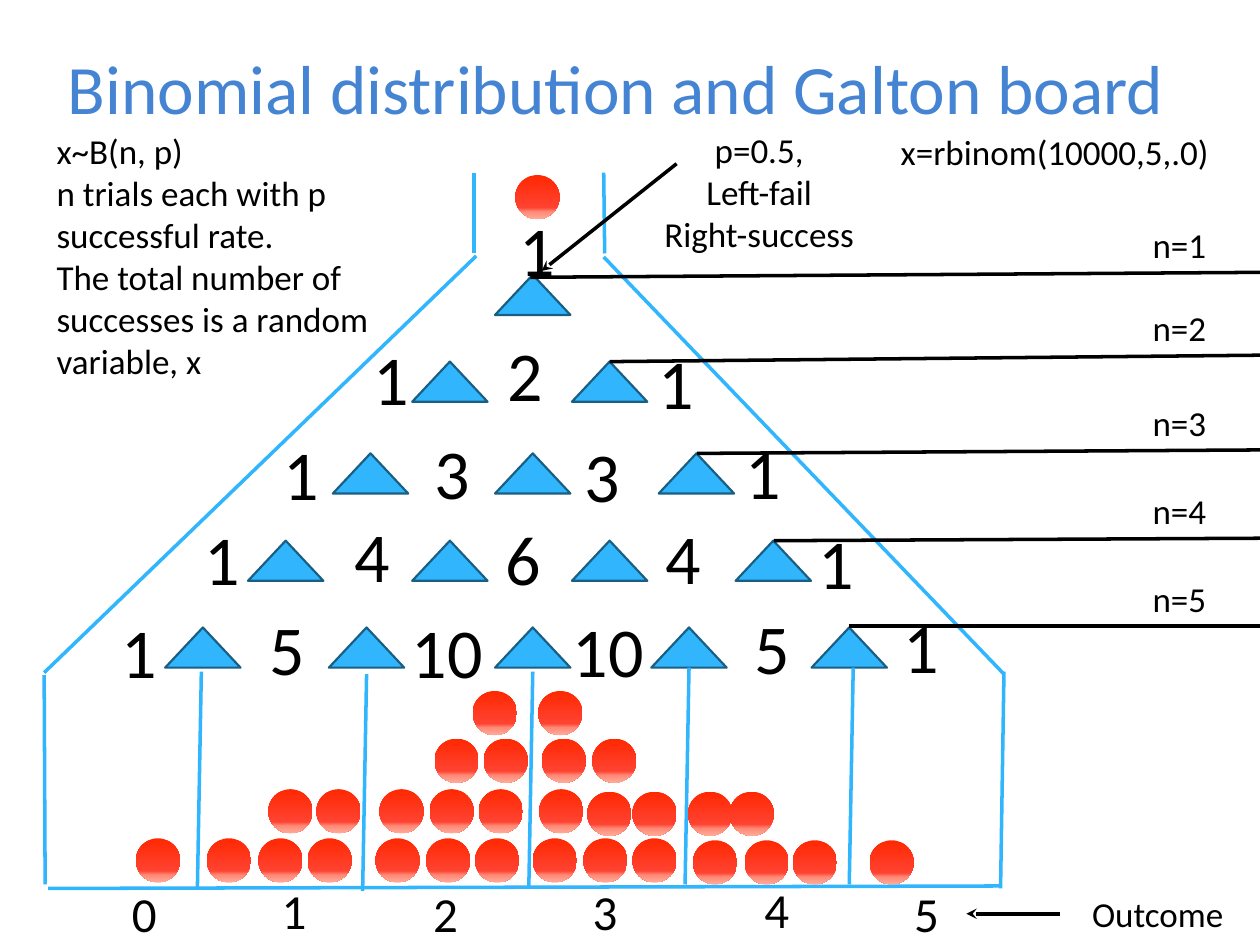
from copy import deepcopy
from math import comb

from pptx import Presentation, util as u
from pptx.dml.color import RGBColor
from pptx.enum import shapes, text
from pptx.oxml.ns import qn
from pptx.oxml.xmlchemy import OxmlElement

BLACK = RGBColor(0, 0, 0)
TITLE = RGBColor(0x45, 0x84, 0xD3)
SKY = RGBColor(0x31, 0xB6, 0xFD)
NAVY = RGBColor(0x19, 0x5F, 0x84)
GLOW = [
    (0, RGBColor(0xFF, 0x28, 0x02)),
    (0.74, RGBColor(0xFF, 0x43, 0x31)),
    (0.83, RGBColor(0xFF, 0x89, 0x76)),
    (1, RGBColor(0xFF, 0xAA, 0x99)),
]

LEFT, MID = text.PP_ALIGN.LEFT, text.PP_ALIGN.CENTER
PEG_W, PEG_H, BALL = 1.52, 0.81, 0.89
EDGE = 25.4

# Top of each row of pegs, then the left of each peg
PEGS = [
    (5.54, [9.98]),
    (7.29, [8.31, 11.53]),
    (9.14, [6.71, 9.98, 13.28]),
    (10.9, [5, 8.31, 11.53, 14.83]),
    (12.65, [3.33, 6.63, 9.98, 13.13, 16.36]),
]
# Trials, then centre and top of each count of ways
WAYS = {
    0: [(10.83, 4.04)],
    2: [(7.89, 6.63), (10.58, 6.55), (13.63, 6.71)],
    3: [(6.08, 8.56), (9.11, 8.53), (12.15, 8.59), (15.38, 8.53)],
    4: [(4.48, 10.26), (7.51, 10.21), (10.55, 10.26), (13.78, 10.24),
        (16.85, 10.34)],
    5: [(2.81, 12.14), (5.8, 12.09), (9.02, 12.14), (12.26, 12.12),
        (15.56, 12.07), (18.58, 12.04)],
}
# Top of each layer of balls, then the left of each ball
BALLS = [
    (3.53, [10.39]),
    (16.9, [2.74, 4.17, 5.21, 6.2, 7.57, 8.59, 9.58, 10.74, 11.76, 12.75]),
    (16.94, [13.97, 15.01, 15.98, 17.53]),
    (15.91, [5.41, 6.38, 7.65, 8.66, 9.65, 10.87]),
    (15.96, [11.84, 12.75, 13.87, 14.71]),
    (14.89, [8.76, 9.75, 10.92, 11.94]),
    (13.93, [9.53, 10.85]),
]
FRAME = [
    (9.55, 3.48, 9.55, 5.11), (12.17, 3.48, 12.19, 5.11),
    (9.6, 5.16, 0.89, 13.56), (12.17, 5.18, 20.24, 13.59),
    (0.89, 13.61, 0.91, 17.83), (20.24, 13.54, 20.17, 17.91),
    (20.17, 17.86, 0.97, 17.91),
]
WALLS = [(4.06, 13.54), (7.39, 13.59), (10.74, 13.54), (13.89, 13.46),
         (17.2, 13.46)]
# Height at the slide edge, then the end at the peg
LEVELS = [(5.49, 10.69, 5.59), (7.16, 12.29, 7.29), (9.07, 14.05, 9.14),
          (10.85, 15.6, 10.9), (12.62, 17.12, 12.62)]
SCORES = [(2.11, 17.68), (5.13, 17.63), (8.18, 17.68), (11.4, 17.65),
          (14.86, 17.6), (17.88, 17.68)]


def place(*nums):
    return [u.Cm(n) for n in nums]


def apply(obj, vals):
    """Set each attribute named in vals on obj."""
    for key, val in vals.items():
        setattr(obj, key, val)


class Deck:
    def __init__(self):
        self.prs = Presentation()
        apply(self.prs, {"slide_width": u.Cm(25.4),
                         "slide_height": u.Cm(19.05)})
        self.slide = self.prs.slides.add_slide(self.prs.slide_layouts[5])
        self.items = self.slide.shapes
        self.font = {"name": "Calibri", "size": u.Pt(20)}

    def put(self, frame, lines, color=BLACK, align=LEFT, size=20):
        """Fill a text frame with one paragraph a line."""
        frame.text = "\n".join(lines)
        for para in frame.paragraphs:
            para.alignment = align
            apply(para.font, self.font | {"size": u.Pt(size)})
            para.font.color.rgb = color

    def title(self, words, *box):
        head = self.items.title
        apply(head, dict(zip(("left", "top", "width", "height"),
                             place(*box))))
        head.text_frame.vertical_anchor = text.MSO_ANCHOR.MIDDLE
        self.put(head.text_frame, [words], TITLE, MID, 39.6)

    def label(self, lines, *box, **style):
        frame = self.items.add_textbox(*place(*box)).text_frame
        apply(frame, {"word_wrap": True,
                      "auto_size": text.MSO_AUTO_SIZE.SHAPE_TO_FIT_TEXT})
        self.put(frame, lines, **style)

    def line(self, *ends, color=BLACK, arrow=False):
        link = self.items.add_connector(shapes.MSO_CONNECTOR.STRAIGHT,
                                        *place(*ends))
        link.line.color.rgb = color
        link.line.width = u.Pt(2)
        props = link.element.spPr
        if arrow:
            tip = OxmlElement("a:tailEnd")
            tip.set("type", "stealth")
            props.find(qn("a:ln")).append(tip)
        props.append(OxmlElement("a:effectLst"))

    def peg(self, left, top):
        peg = self.items.add_shape(shapes.MSO_SHAPE.ISOSCELES_TRIANGLE,
                                   *place(left, top, PEG_W, PEG_H))
        peg.shadow.inherit = False
        peg.fill.solid()
        peg.fill.fore_color.rgb = SKY
        peg.line.color.rgb = NAVY
        peg.line.width = u.Pt(1.25)

    def ball(self, left, top):
        ball = self.items.add_shape(shapes.MSO_SHAPE.OVAL,
                                    *place(left, top, BALL, BALL))
        ball.shadow.inherit = False
        ball.line.fill.background()
        ball.fill.gradient()
        ball.fill.gradient_angle = 270
        stops = ball.element.spPr.find(".//" + qn("a:gsLst"))
        while len(stops) < len(GLOW):
            stops.append(deepcopy(stops[0]))
        for stop, (spot, color) in zip(ball.fill.gradient_stops, GLOW):
            stop.position = spot
            stop.color.rgb = color


def main():
    deck = Deck()
    deck.title("Binomial distribution and Galton board", 0.63, 0, 23.57, 3.48)
    deck.label(["x~B(n, p)", "n trials each with p successful rate.",
                "The total number of successes is a random variable, x"],
               0.89, 2.49, 7.34, 5.38)

    for ends in FRAME:
        deck.line(*ends, color=SKY)
    for top, row in PEGS:
        for left in row:
            deck.peg(left, top)
    for x, top in WALLS:
        deck.line(x, top, x - 0.08, top + 4.37, color=SKY)
    for top, row in BALLS:
        for left in row:
            deck.ball(left, top)

    for n, spots in WAYS.items():
        for k, (x, top) in enumerate(spots):
            ways = comb(n, k)
            wide = 2 if ways > 9 else 1.6
            deck.label([str(ways)], x - wide / 2, top, wide, 1.96,
                       align=MID, size=40)

    deck.line(13.64, 3.3, 10.92, 5.46, arrow=True)
    deck.label(["p=0.5,", "Left-fail", "Right-success"],
               12.83, 2.46, 4.95, 2.82, align=MID)
    for n, (y, x, end) in enumerate(LEVELS, 1):
        deck.line(EDGE, y, x, end)
        deck.label([f"n={n}"], 22.53, y - 1.11, 2.49, 1.12, align=MID)

    for score, (left, top) in enumerate(SCORES):
        deck.label([str(score)], left, top, 1.6, 1.45, align=MID, size=28)
    deck.line(21.36, 18.42, 19.48, 18.42, arrow=True)
    deck.label(["Outcome"], 21.36, 17.86, 3.96, 1.12, align=MID)
    deck.label(["x=rbinom(10000,5,.0)"], 17.2, 2.51, 8.13, 1.12, align=MID)
    deck.prs.save("out.pptx")


if __name__ == "__main__":
    main()
